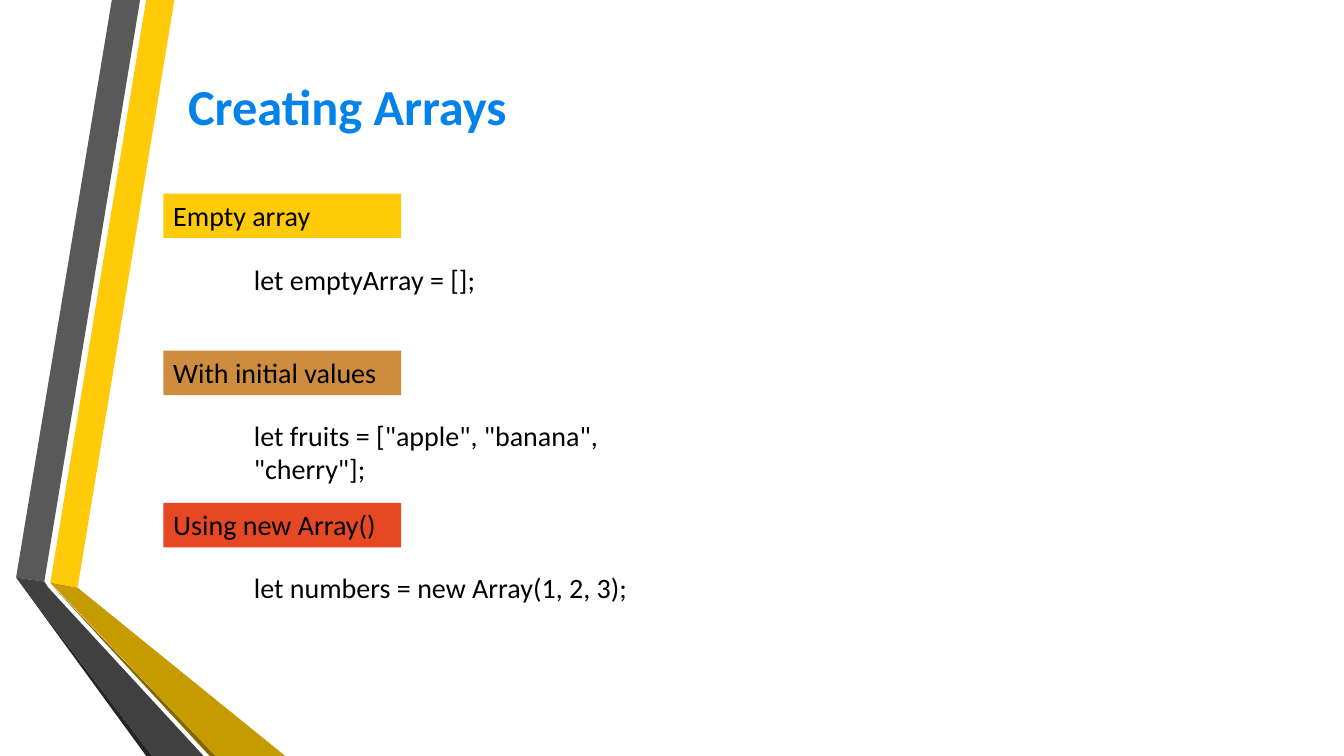
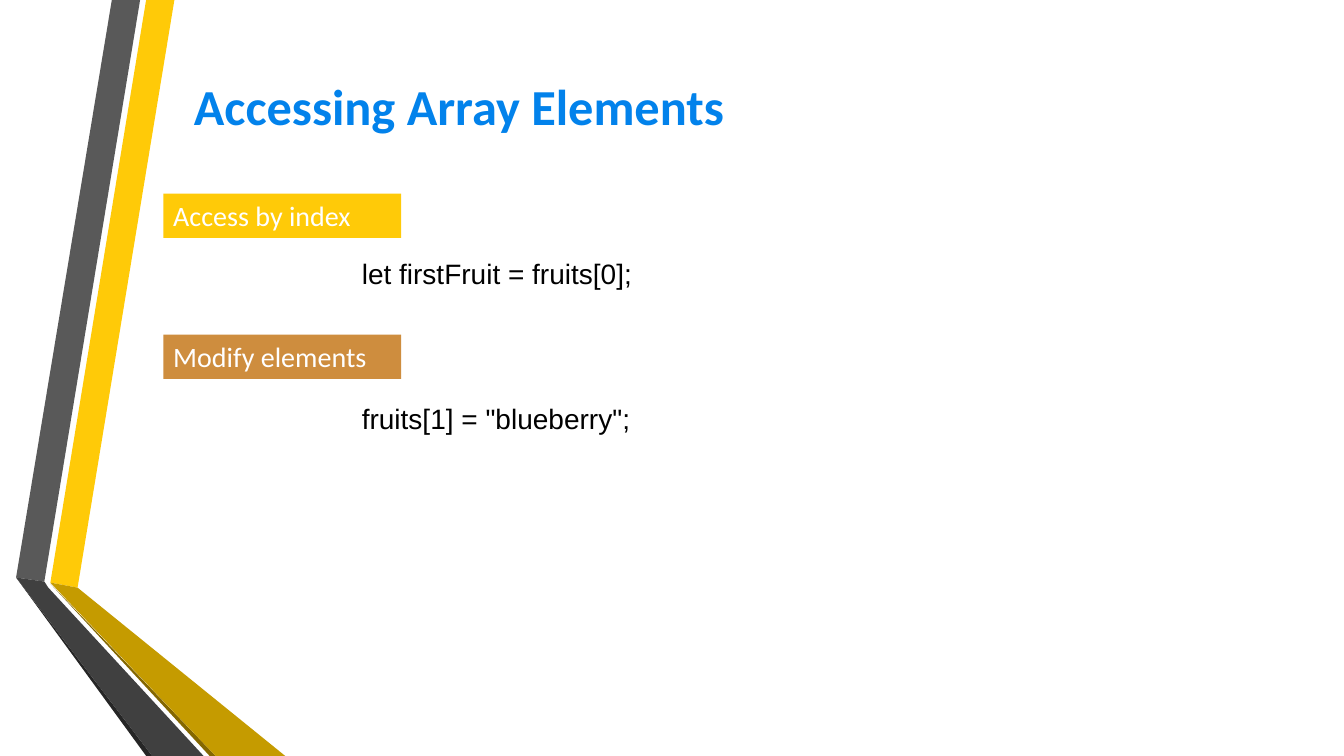
from pptx import Presentation
from pptx.dml.color import RGBColor
from pptx.enum.shapes import MSO_SHAPE
from pptx.enum.text import MSO_ANCHOR, PP_ALIGN
from pptx.util import Inches, Pt

COLORS = {
    "title": "0282EB",
    "black": "000000",
    "white": "FFFFFF",
    "yellow": "FFCA08",
    "bronze": "CE8D3E",
    "red": "E64823",
    "gray": "595959",
    "gray_fold": "404040",
    "gray_edge": "262626",
    "yellow_fold": "C59B00",
    "yellow_edge": "846700",
}

RIBBONS = [
    ("yellow", [(0.5, 5.78), (0.77, 5.83), (1.73, 0), (1.45, 0)]),
    ("gray", [(1.39, 0), (1.11, 0), (0.16, 5.73), (0.44, 5.77)]),
    ("gray_edge", [(0.16, 5.73), (1.45, 7.5), (1.51, 7.5)]),
    ("yellow_edge", [(0.5, 5.79), (2.08, 7.5), (2.14, 7.5)]),
    ("yellow_fold", [(0.5, 5.78), (2.14, 7.5), (2.83, 7.5), (0.77, 5.83)]),
    ("gray_fold", [(0.16, 5.73), (1.51, 7.5), (2.02, 7.5), (0.48, 5.83), (0.44, 5.77)]),
]


class Deck:
    """Holds the shared style and the slide being built."""

    font = "Calibri"
    body_size = 20
    left = 1.62
    row_height = 0.44
    label_width = 2.36

    def __init__(self):
        self.prs = Presentation()
        self.prs.slide_width = Inches(13.33)
        self.prs.slide_height = Inches(7.5)
        self.s = None

    def new_slide(self, title, title_width):
        self.s = self.prs.slides.add_slide(self.prs.slide_layouts[6])
        for color, points in RIBBONS:
            self.ribbon(color, points)
        self.title(title, title_width)

    def paint(self, sp, color):
        sp.shadow.inherit = False
        sp.fill.solid()
        sp.fill.fore_color.rgb = RGBColor.from_string(COLORS[color])
        sp.line.fill.background()

    def set_text(self, sp, text, color="black", font=None, size=None, bold=False,
                 align=PP_ALIGN.LEFT, anchor=MSO_ANCHOR.TOP):
        tf = sp.text_frame
        tf.word_wrap = True
        tf.vertical_anchor = anchor
        tf.text = text
        p = tf.paragraphs[0]
        p.alignment = align
        r = p.runs[0]
        r.font.name = font or self.font
        r.font.size = Pt(size or self.body_size)
        r.font.bold = bold
        r.font.color.rgb = RGBColor.from_string(COLORS[color])

    def ribbon(self, color, points):
        corners = [(Inches(x), Inches(y)) for x, y in points]
        builder = self.s.shapes.build_freeform(*corners[0])
        builder.add_line_segments(corners[1:], close=True)
        self.paint(builder.convert_to_shape(), color)

    def text_box(self, x, y, width, height, text, **style):
        sp = self.s.shapes.add_textbox(Inches(x), Inches(y), Inches(width), Inches(height))
        self.set_text(sp, text, **style)

    def title(self, text, width):
        self.text_box(self.left, 0.75, width, 0.6, text, color="title", size=36,
                      bold=True, align=PP_ALIGN.CENTER, anchor=MSO_ANCHOR.MIDDLE)

    def label(self, y, text, fill, color):
        sp = self.s.shapes.add_shape(
            MSO_SHAPE.RECTANGLE, Inches(self.left), Inches(y),
            Inches(self.label_width), Inches(self.row_height))
        self.paint(sp, fill)
        self.set_text(sp, text, color)

    def code(self, x, y, width, text, font=None, lines=1):
        height = self.row_height + (lines - 1) * 0.33
        self.text_box(x, y, width, height, text, font=font)


def creating_arrays(deck):
    deck.new_slide("Creating Arrays", 3.65)
    for y, fill, label, code_y, code, lines in [
        (1.92, "yellow", "Empty array", 2.56, "let emptyArray = [];", 1),
        (3.48, "bronze", "With initial values", 4.1,
         'let fruits = ["apple", "banana", "cherry"];', 2),
        (4.99, "red", "Using new Array()", 5.61, "let numbers = new Array(1, 2, 3);", 1),
    ]:
        deck.label(y, label, fill, "black")
        deck.code(2.42, code_y, 4, code, lines=lines)


def accessing_elements(deck):
    deck.new_slide("Accessing Array Elements", 5.87)
    for y, fill, label, code_y, code in [
        (1.92, "yellow", "Access by index", 2.5, "let firstFruit = fruits[0];"),
        (3.32, "bronze", "Modify elements", 3.93, 'fruits[1] = "blueberry";'),
    ]:
        deck.label(y, label, fill, "white")
        deck.code(3.49, code_y, 3, code, font="Arial")


def main():
    deck = Deck()
    creating_arrays(deck)
    accessing_elements(deck)
    deck.prs.save("out.pptx")


if __name__ == "__main__":
    main()
